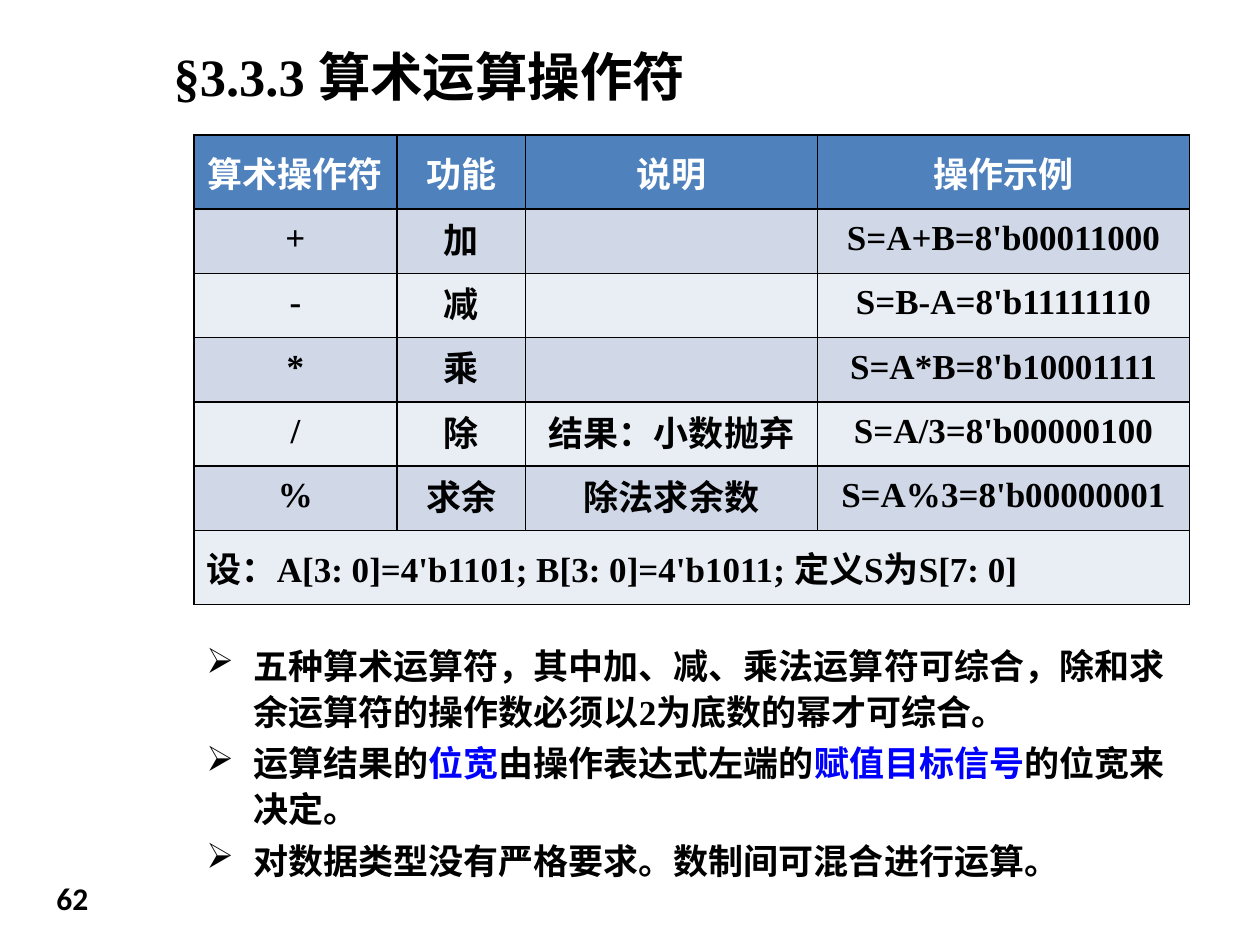
from pptx import Presentation
from pptx.dml.color import RGBColor
from pptx.enum.text import MSO_ANCHOR, PP_ALIGN
from pptx.oxml import parse_xml
from pptx.oxml.ns import nsdecls
from pptx.util import Inches, Pt

COLORS = {
    "text": "000000", "accent": "0000FF", "header_text": "FFFFFF",
    "header": "4F81BD", "band_dark": "D0D8E8", "band_light": "E9EDF4",
    "border": "000000",
}
SERIF = "Times New Roman"

HEADINGS = ["算术操作符", "功能", "说明", "操作示例"]
OPERATORS = [
    ["+", "加", "", "S=A+B=8'b00011000"],
    ["-", "减", "", "S=B-A=8'b11111110"],
    ["*", "乘", "", "S=A*B=8'b10001111"],
    ["/", "除", "结果：小数抛弃", "S=A/3=8'b00000100"],
    ["%", "求余", "除法求余数", "S=A%3=8'b00000001"],
]
ASSUMPTION = "设：A[3: 0]=4'b1101; B[3: 0]=4'b1011; 定义S为S[7: 0]"
COLUMN_WIDTHS = [1.61, 1.02, 2.32, 2.95]
ROW_HEIGHTS = [0.59] + [0.51] * len(OPERATORS) + [0.59]

# Each point is a list of (text, colour) pieces
POINTS = [
    [("五种算术运算符，其中加、减、乘法运算符可综合，"
      "除和求余运算符的操作数必须以2为底数的幂才可综合。", "text")],
    [("运算结果的", "text"), ("位宽", "accent"), ("由操作表达式左端的", "text"),
     ("赋值目标信号", "accent"), ("的位宽来决定。", "text")],
    [("对数据类型没有严格要求。数制间可混合进行运算。", "text")],
]


def rgb(color):
    return RGBColor.from_string(COLORS[color])


def set_font(font, size, color=None, name=SERIF):
    font.name = name
    font.size = Pt(size)
    font.bold = True
    if color:
        font.color.rgb = rgb(color)


def add_frame(slide, box, anchor=MSO_ANCHOR.TOP):
    frame = slide.shapes.add_textbox(*map(Inches, box)).text_frame
    frame.word_wrap = True
    frame.vertical_anchor = anchor
    return frame


def add_line(slide, box, text, size, name=SERIF):
    """One line of text, used for the title and the page number."""
    frame = add_frame(slide, box, MSO_ANCHOR.MIDDLE)
    paragraph = frame.paragraphs[0]
    paragraph.text = text
    set_font(paragraph.font, size, "text", name)


def set_borders(cell):
    properties = cell._tc.get_or_add_tcPr()
    for position, side in enumerate(("lnL", "lnR", "lnT", "lnB")):
        properties.insert(position, parse_xml(
            f'<a:{side} {nsdecls("a")} w="{Pt(1)}"><a:solidFill>'
            f'<a:srgbClr val="{COLORS["border"]}"/></a:solidFill></a:{side}>'))


def fill_cell(cell, text, fill, color, align, spacing):
    cell.fill.solid()
    cell.fill.fore_color.rgb = rgb(fill)
    cell.vertical_anchor = MSO_ANCHOR.MIDDLE
    set_borders(cell)
    paragraph = cell.text_frame.paragraphs[0]
    paragraph.text = text
    paragraph.alignment = align
    paragraph.line_spacing = spacing
    set_font(paragraph.font, 20, color)


def add_operator_table(slide, box):
    rows = [HEADINGS] + OPERATORS + [[ASSUMPTION, "", "", ""]]
    table = slide.shapes.add_table(
        len(rows), len(HEADINGS), *map(Inches, box)).table
    for column, width in zip(table.columns, COLUMN_WIDTHS):
        column.width = Inches(width)
    for row, height in zip(table.rows, ROW_HEIGHTS):
        row.height = Inches(height)

    last = len(rows) - 1
    table.cell(last, 0).merge(table.cell(last, len(HEADINGS) - 1))
    for r, texts in enumerate(rows):
        fill = "header" if r == 0 else "band_dark" if r % 2 else "band_light"
        color = "text" if r else "header_text"
        align = PP_ALIGN.LEFT if r == last else PP_ALIGN.CENTER
        spacing = 0.8 if 0 < r < last else 1.0
        for c, text in enumerate(texts):
            fill_cell(table.cell(r, c), text, fill, color, align, spacing)


def add_bullet(paragraph):
    properties = paragraph._p.get_or_add_pPr()
    properties.set("marL", str(Inches(0.37)))
    properties.set("indent", str(-Inches(0.37)))
    for xml in (f'<a:buClr {nsdecls("a")}><a:srgbClr val="{COLORS["text"]}"/></a:buClr>',
                f'<a:buChar {nsdecls("a")} char="➢"/>'):
        properties.append(parse_xml(xml))


def add_points(slide, box):
    frame = add_frame(slide, box)
    for i, pieces in enumerate(POINTS):
        paragraph = frame.add_paragraph() if i else frame.paragraphs[0]
        add_bullet(paragraph)
        paragraph.line_spacing = 1.1
        paragraph.space_after = Pt(3)
        set_font(paragraph.font, 20)
        for text, color in pieces:
            run = paragraph.add_run()
            run.text = text
            run.font.color.rgb = rgb(color)


def main():
    presentation = Presentation()
    presentation.slide_width = Inches(10)
    presentation.slide_height = Inches(7.5)
    slide = presentation.slides.add_slide(presentation.slide_layouts[6])

    add_line(slide, (1.28, 0.29, 7.65, 0.62), "§3.3.3 算术运算操作符", 30)
    add_operator_table(slide, (1.54, 1.07, sum(COLUMN_WIDTHS), sum(ROW_HEIGHTS)))
    add_points(slide, (1.54, 5.03, 8.03, 2.04))
    add_line(slide, (0.35, 6.9, 0.63, 0.45), "62", 18, "Calibri")

    presentation.save("out.pptx")


if __name__ == "__main__":
    main()
